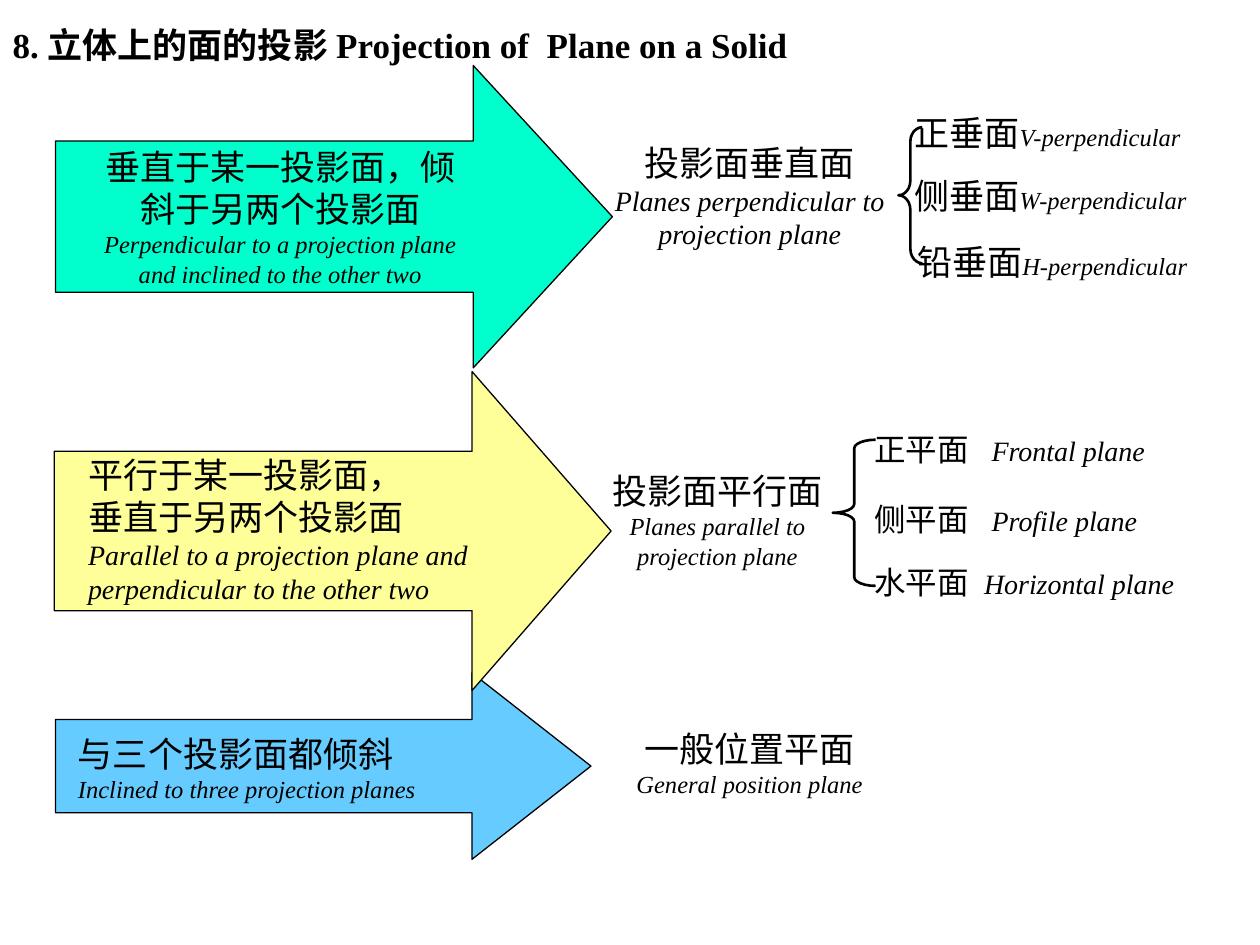
import pptx
import pptx.util
import pptx.dml.color
import pptx.enum.shapes
import pptx.enum.text
import pptx.oxml
import pptx.oxml.ns
from dataclasses import dataclass

Inches = pptx.util.Inches
Pt = pptx.util.Pt
Shapes = pptx.enum.shapes.MSO_SHAPE
Align = pptx.enum.text.PP_ALIGN
Anchor = pptx.enum.text.MSO_ANCHOR
AutoSize = pptx.enum.text.MSO_AUTO_SIZE


@dataclass(frozen=True)
class Theme:
    font: str = "Times New Roman"
    ink: str = "000000"
    perpendicular: str = "00FFCC"
    parallel: str = "FFFF99"
    general: str = "66CCFF"
    large: int = 20
    medium: int = 18
    english: int = 16
    small: int = 14
    thin: float = 0.75
    thick: float = 1.5


class SlideBuilder:
    def __init__(self, page, theme):
        self.page = page
        self.theme = theme

    def color(self, value):
        return pptx.dml.color.RGBColor.from_string(value)

    def style(self, span, size, italic=False, bold=False):
        span.font.name = self.theme.font
        span.font.size = Pt(size)
        span.font.italic = italic
        span.font.bold = bold
        span.font.color.rgb = self.color(self.theme.ink)

    def title(self, text, left, top, width, height):
        box = self.page.shapes.title
        box.left, box.top = Inches(left), Inches(top)
        box.width, box.height = Inches(width), Inches(height)
        frame = box.text_frame
        frame.text = text
        frame.word_wrap = True
        frame.auto_size = AutoSize.NONE
        frame.vertical_anchor = Anchor.TOP
        para = frame.paragraphs[0]
        para.alignment = Align.LEFT
        para.line_spacing = 1.4
        properties = para._p.get_or_add_pPr()
        properties.set("marL", str(Inches(0.5)))
        properties.set("indent", str(Inches(-0.5)))
        self.style(para.runs[0], self.theme.large, bold=True)

    def outline(self, kind, place, adjustments, width, fill=None):
        shape = self.page.shapes.add_shape(kind, *map(Inches, place))
        shape.shadow.inherit = False
        for index, value in enumerate(adjustments):
            shape.adjustments[index] = value
        if fill:
            shape.fill.solid()
            shape.fill.fore_color.rgb = self.color(fill)
        else:
            shape.fill.background()
        shape.line.color.rgb = self.color(self.theme.ink)
        shape.line.width = Pt(width)

    def arrow(self, place, head, fill):
        self.outline(Shapes.RIGHT_ARROW, place, (0.5, head), self.theme.thin, fill)

    def brace(self, place, curve):
        self.outline(Shapes.LEFT_BRACE, place, (curve, 0.5), self.theme.thick)

    def text_box(self, place):
        box = self.page.shapes.add_textbox(*map(Inches, place))
        frame = box.text_frame
        frame.word_wrap = True
        frame.auto_size = AutoSize.SHAPE_TO_FIT_TEXT
        frame.vertical_anchor = Anchor.MIDDLE
        return frame

    def caption(self, place, chinese, english, size, align):
        frame = self.text_box(place)
        frame.text = "\n".join([*chinese, english])
        for para in frame.paragraphs:
            para.alignment = align
            self.style(para.runs[0], self.theme.large)
        self.style(frame.paragraphs[-1].runs[0], size, italic=True)

    def term(self, place, chinese, english, sizes, inset=0.1, tab=None):
        frame = self.text_box(place)
        frame.margin_left = Inches(inset)
        para = frame.paragraphs[0]
        if tab:
            stops = pptx.oxml.parse_xml(
                f'<a:tabLst {pptx.oxml.ns.nsdecls("a")}>'
                f'<a:tab pos="{Inches(tab)}" algn="l"/></a:tabLst>'
            )
            para._p.get_or_add_pPr().append(stops)
            chinese += "\t"
        for text, size, italic in zip((chinese, english), sizes, (False, True)):
            span = para.add_run()
            span.text = text
            self.style(span, size, italic)


def main():
    deck = pptx.Presentation()
    deck.slide_width, deck.slide_height = Inches(10), Inches(7.5)
    theme = Theme()
    page = deck.slides.add_slide(deck.slide_layouts[5])
    builder = SlideBuilder(page, theme)
    builder.title("8. 立体上的面的投影 Projection of  Plane on a Solid", 0, 0, 7.76, 0.52)

    builder.arrow((0.44, 5.34, 4.25, 1.48), 0.638, theme.general)
    builder.arrow((0.43, 2.95, 4.42, 2.53), 0.436, theme.parallel)
    builder.arrow((0.44, 0.52, 4.42, 2.4), 0.46, theme.perpendicular)

    captions = [
        ((4.69, 1.07, 2.52, 0.97), ["投影面垂直面"],
         "Planes perpendicular to projection plane", theme.english, Align.CENTER),
        ((4.61, 3.67, 2.17, 0.91), ["投影面平行面"],
         "Planes parallel to projection plane", theme.small, Align.CENTER),
        ((4.85, 5.72, 2.2, 0.67), ["一般位置平面"],
         "General position plane", theme.small, Align.CENTER),
        ((0.6, 1.1, 3.25, 1.24), ["垂直于某一投影面，倾斜于另两个投影面"],
         "Perpendicular to a projection plane and inclined to the other two",
         theme.small, Align.CENTER),
        ((0.6, 3.55, 3.62, 1.3), ["平行于某一投影面，", "垂直于另两个投影面"],
         "Parallel to a projection plane and perpendicular to the other two",
         theme.english, Align.LEFT),
        ((0.52, 5.76, 3.39, 0.67), ["与三个投影面都倾斜"],
         "Inclined to three projection planes", theme.small, Align.LEFT),
    ]
    for caption in captions:
        builder.caption(*caption)

    perpendicular_terms = [
        ((7.16, 0.84, 3.6, 0.43), "正垂面", "V-perpendicular"),
        ((7.16, 1.34, 3.14, 0.43), "侧垂面", "W-perpendicular"),
        ((7.18, 1.86, 2.92, 0.43), "铅垂面", "H-perpendicular"),
    ]
    for term in perpendicular_terms:
        builder.term(*term, (theme.large, theme.small))
    builder.brace((7.13, 1.01, 0.19, 1.08), 0.604)

    parallel_terms = [
        ((6.74, 3.36, 3.23, 0.4), "正平面", "Frontal plane", 0.93),
        ((6.74, 3.92, 3.58, 0.4), "侧平面", "Profile plane", 0.93),
        ((6.74, 4.42, 3.7, 0.4), "水平面", "Horizontal plane", 0.87),
    ]
    for place, chinese, english, tab in parallel_terms:
        builder.term(place, chinese, english, (theme.medium, theme.english), 0.2, tab)
    builder.brace((6.61, 3.49, 0.34, 1.16), 0.203)

    deck.save("out.pptx")


if __name__ == "__main__":
    main()
